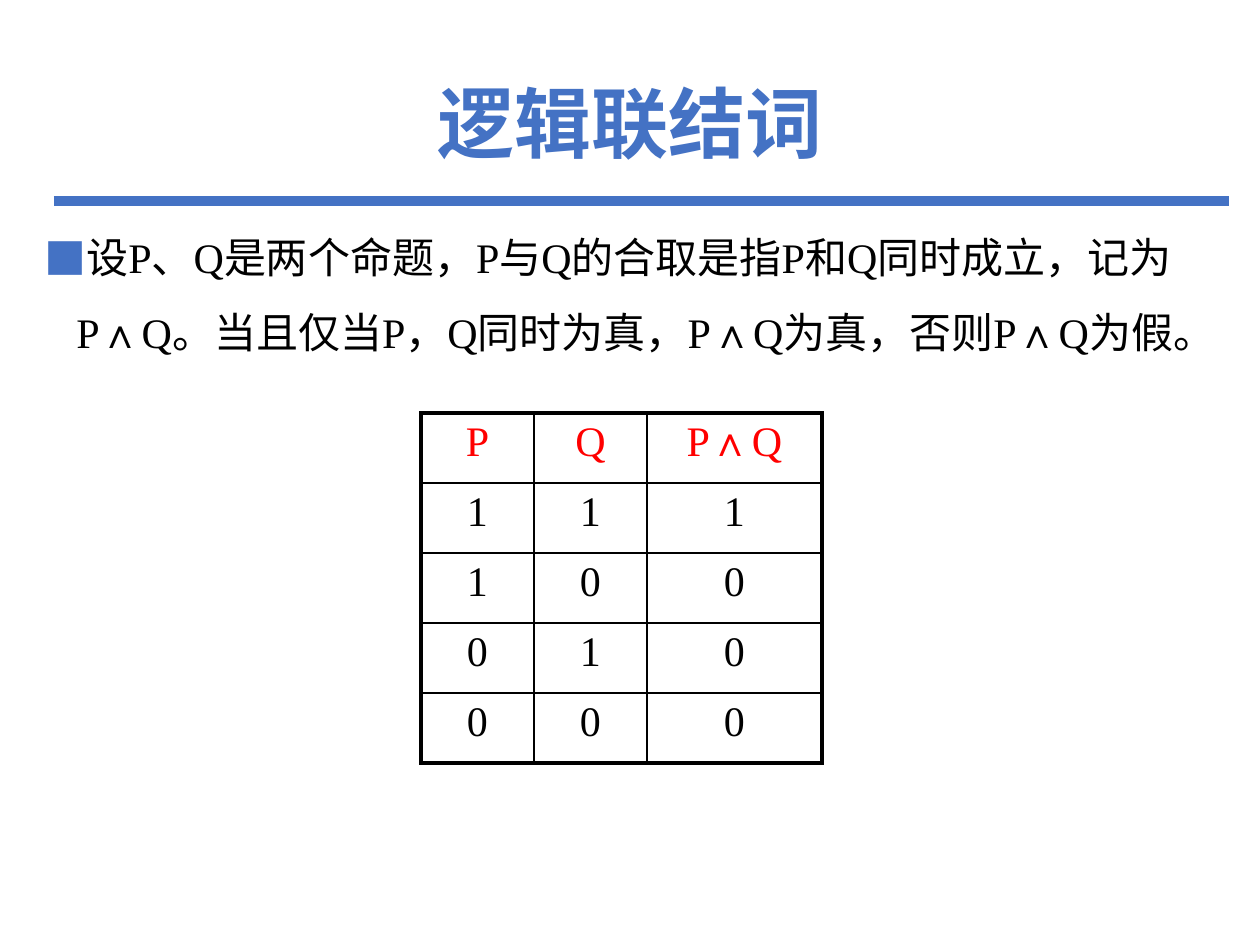
from dataclasses import dataclass

from lxml import etree
from pptx import Presentation
from pptx.dml.color import RGBColor
from pptx.enum.shapes import MSO_CONNECTOR
from pptx.enum.text import MSO_ANCHOR, PP_ALIGN
from pptx.oxml.ns import qn
from pptx.util import Emu, Pt

STRAIGHT = MSO_CONNECTOR.STRAIGHT
MIDDLE, TOP = MSO_ANCHOR.MIDDLE, MSO_ANCHOR.TOP
CENTER, LEFT = PP_ALIGN.CENTER, PP_ALIGN.LEFT
EMU_PER_PX = 914400 / 126
COLORS = {"accent": "4472C4", "text": "000000", "header": "FF0000"}
SANS, SERIF = "Noto Sans CJK SC", "Times New Roman"
THICK, THIN = 2.25, 1
COLUMN_WIDTHS = (113, 113, 175)
ROW_HEIGHT = 70
TRUTH_TABLE = (
    ("P", "Q", "P∧Q"),
    ("1", "1", "1"),
    ("1", "0", "0"),
    ("0", "1", "0"),
    ("0", "0", "0"),
)


@dataclass(frozen=True)
class TextStyle:
    size: int
    font: str
    color: str
    align: PP_ALIGN
    bold: bool = False


@dataclass(frozen=True)
class TextBlock:
    left: int
    top: int
    width: int
    height: int
    text: str
    style: TextStyle
    anchor: MSO_ANCHOR
    line_spacing: float
    bullet: str = ""
    indent: int = 0


BLOCKS = (
    TextBlock(87, 50, 1086, 156, "逻辑联结词",
              TextStyle(44, SANS, "accent", CENTER, True), MIDDLE, 0.9),
    TextBlock(32, 200, 1196, 694,
              "设P、Q是两个命题，P与Q的合取是指P和Q同时成立，"
              "记为P∧Q。当且仅当P，Q同时为真，P∧Q为真，否则P∧Q为假。",
              TextStyle(24, SERIF, "text", LEFT), TOP, 1.5, "■", 32),
)


def px(length: int) -> Emu:
    return Emu(round(length * EMU_PER_PX))


def rgb(name: str) -> RGBColor:
    return RGBColor.from_string(COLORS[name])


def add_run(paragraph, text: str, style: TextStyle) -> None:
    paragraph.alignment = style.align
    run = paragraph.add_run()
    run.text = text
    run.font.size = Pt(style.size)
    run.font.bold = style.bold
    run.font.color.rgb = rgb(style.color)
    run.font.name = style.font
    etree.SubElement(run.font._element, qn("a:ea"), typeface=SANS)


def add_bullet(paragraph, character: str, indent: int) -> None:
    properties = paragraph._p.get_or_add_pPr()
    properties.set("marL", str(px(indent)))
    properties.set("indent", str(-px(indent)))
    color = etree.SubElement(properties, qn("a:buClr"))
    etree.SubElement(color, qn("a:srgbClr"), val=COLORS["accent"])
    etree.SubElement(properties, qn("a:buFont"), typeface=SANS)
    etree.SubElement(properties, qn("a:buChar"), char=character)


def add_text(slide, block: TextBlock) -> None:
    shape = slide.shapes.add_textbox(
        px(block.left), px(block.top), px(block.width), px(block.height))
    frame = shape.text_frame
    frame.word_wrap = True
    frame.vertical_anchor = block.anchor
    paragraph = frame.paragraphs[0]
    if block.bullet:
        add_bullet(paragraph, block.bullet, block.indent)
    paragraph.line_spacing = block.line_spacing
    add_run(paragraph, block.text, block.style)


def add_rule(slide, left: int, right: int, y: int) -> None:
    rule = slide.shapes.add_connector(STRAIGHT, px(left), px(y), px(right), px(y))
    rule.line.color.rgb = rgb("accent")
    rule.line.width = Pt(6)
    etree.SubElement(rule._element.spPr, qn("a:effectLst"))


def set_borders(cell, widths: dict[str, float]) -> None:
    properties = cell._tc.get_or_add_tcPr()
    for position, (side, width) in enumerate(widths.items()):
        line = etree.Element(qn(f"a:ln{side}"), w=str(Pt(width)))
        fill = etree.SubElement(line, qn("a:solidFill"))
        etree.SubElement(fill, qn("a:srgbClr"), val=COLORS["text"])
        properties.insert(position, line)


def add_truth_table(slide, left: int, top: int) -> None:
    last_row, last_column = len(TRUTH_TABLE) - 1, len(COLUMN_WIDTHS) - 1
    table = slide.shapes.add_table(
        len(TRUTH_TABLE), len(COLUMN_WIDTHS), px(left), px(top),
        px(sum(COLUMN_WIDTHS)), px(ROW_HEIGHT * len(TRUTH_TABLE))).table
    table.first_row = table.horz_banding = False
    for column, width in zip(table.columns, COLUMN_WIDTHS):
        column.width = px(width)
    for row_index, values in enumerate(TRUTH_TABLE):
        table.rows[row_index].height = px(ROW_HEIGHT)
        color = "text" if row_index else "header"
        for column_index, value in enumerate(values):
            cell = table.cell(row_index, column_index)
            cell.fill.background()
            set_borders(cell, {
                "L": THIN if column_index else THICK,
                "R": THICK if column_index == last_column else THIN,
                "T": THIN if row_index else THICK,
                "B": THICK if row_index == last_row else THIN,
            })
            add_run(cell.text_frame.paragraphs[0], value,
                    TextStyle(24, SERIF, color, CENTER))


def main() -> None:
    """Build the slide that defines logical conjunction."""
    presentation = Presentation()
    presentation.slide_width, presentation.slide_height = px(1260), px(945)
    slide = presentation.slides.add_slide(presentation.slide_layouts[6])
    add_rule(slide, 54, 1229, 201)
    for block in BLOCKS:
        add_text(slide, block)
    add_truth_table(slide, 421, 413)
    presentation.save("out.pptx")


if __name__ == "__main__":
    main()
